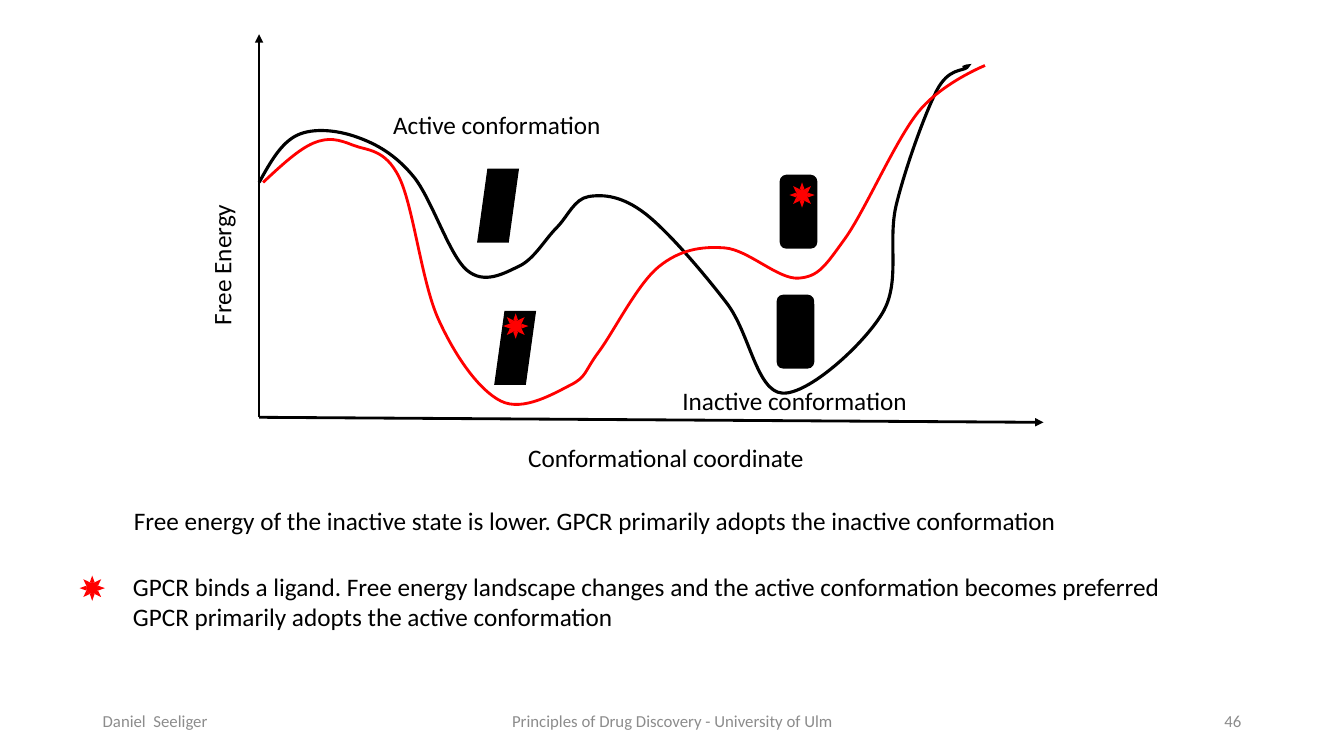
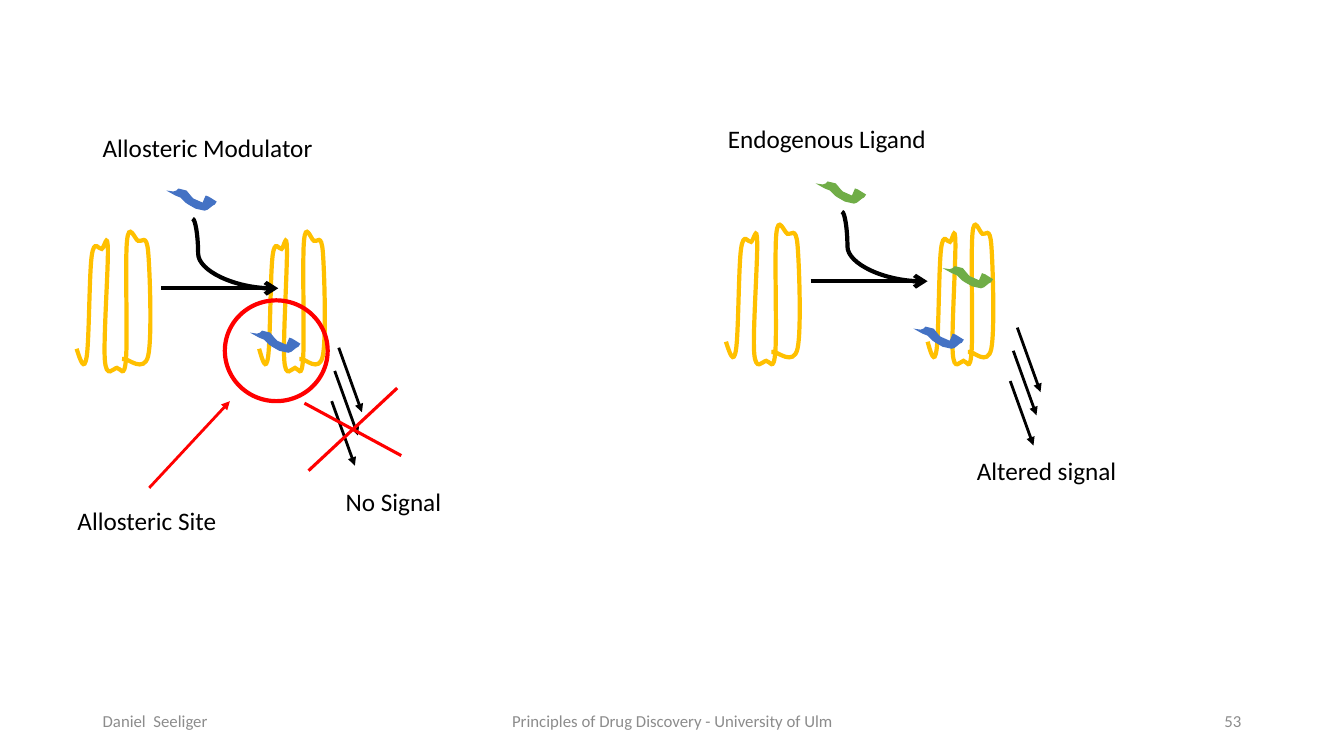
from lxml.etree import SubElement
from pptx import Presentation
from pptx.dml.color import RGBColor
from pptx.enum.shapes import MSO_CONNECTOR, MSO_SHAPE
from pptx.enum.text import MSO_ANCHOR, MSO_AUTO_SIZE, PP_ALIGN
from pptx.oxml.ns import qn
from pptx.util import Inches, Pt

SLIDE_W, SLIDE_H = 13.33, 7.5
BLACK = RGBColor(0x00, 0x00, 0x00)
RED = RGBColor(0xFF, 0x00, 0x00)
GREY = RGBColor(0x8C, 0x8C, 0x8C)
AMBER = RGBColor(0xFF, 0xC0, 0x00)
BLUE = RGBColor(0x44, 0x72, 0xC4)
GREEN = RGBColor(0x70, 0xAD, 0x47)

LABEL_FORMAT = {"name": "Calibri", "size": Pt(18)}
FOOTER_FORMAT = {"name": "Calibri", "size": Pt(12)}
FOOTER_TOP, FOOTER_H = 6.95, 0.4
AUTHOR = "Daniel  Seeliger"
COURSE = "Principles of Drug Discovery - University of Ulm"

# Outline points, in inches from the corner of the part they belong to
UNBOUND_ENERGY = [
    (0, 1.47), (0.38, 1), (0.97, 1.02), (1.53, 1.41), (2.06, 2.34), (2.58, 2.3),
    (2.95, 1.92), (3.27, 1.61), (3.83, 1.78), (4.64, 2.67), (5.19, 3.56),
    (6.18, 2.77), (6.32, 1.69), (6.72, 0.56), (7.02, 0.33), (6.98, 0.33)]
BOUND_ENERGY = [
    (0.04, 1.47), (0.54, 1.08), (0.93, 1.1), (1.39, 1.42), (1.78, 2.83),
    (2.4, 3.64), (3.09, 3.48), (3.37, 3.15), (3.96, 2.31), (4.62, 2.12),
    (5.35, 2.42), (5.81, 2.03), (6.54, 0.77), (7.2, 0.31)]
RECEPTOR = [
    (0, 1.16), (0.1, 1.24), (0.15, 0.24), (0.25, 0.17), (0.31, 0.17),
    (0.28, 1.27), (0.4, 1.35), (0.49, 1.26), (0.5, 0.09), (0.61, 0.09),
    (0.71, 0.2), (0.71, 1.23), (0.47, 1.26), (0.49, 1.26)]
LIGAND = [
    (0, 0), (0.09, 0.05), (0.14, 0.07), (0.19, 0.12), (0.22, 0.14),
    (0.29, 0.18), (0.38, 0.2), (0.41, 0.19), (0.46, 0.15), (0.48, 0.14),
    (0.5, 0.11), (0.42, 0.06), (0.39, 0.05), (0.36, 0.12), (0.27, 0.08),
    (0.25, 0.06), (0.2, 0), (0.12, -0.02), (0.1, 0), (0.07, 0.01)]
CASCADE_STARTS = [(0, 0), (-0.04, 0.23), (-0.07, 0.53)]
BOUND_WIDTH = 0.89


def write(frame, text, text_format, color, align=PP_ALIGN.LEFT):
    frame.text = text
    for paragraph in frame.paragraphs:
        paragraph.alignment = align
        for field, value in text_format.items():
            setattr(paragraph.font, field, value)
        paragraph.font.color.rgb = color


def add_label(slide, text, left, top, width, height=0.4, rotation=0):
    box = slide.shapes.add_textbox(
        Inches(left), Inches(top), Inches(width), Inches(height))
    box.rotation = rotation
    box.text_frame.word_wrap = False
    write(box.text_frame, text, LABEL_FORMAT, BLACK)
    box.text_frame.auto_size = MSO_AUTO_SIZE.SHAPE_TO_FIT_TEXT


def add_footer(slide, number):
    cells = [(AUTHOR, 0.92, 3, PP_ALIGN.LEFT),
             (COURSE, 4.42, 4.5, PP_ALIGN.CENTER),
             (number, 9.41, 3, PP_ALIGN.RIGHT)]
    for text, left, width, align in cells:
        box = slide.shapes.add_textbox(
            Inches(left), Inches(FOOTER_TOP), Inches(width), Inches(FOOTER_H))
        box.text_frame.word_wrap = True
        box.text_frame.vertical_anchor = MSO_ANCHOR.MIDDLE
        write(box.text_frame, text, FOOTER_FORMAT, GREY, align)


def set_line(line, color, weight, mitered=False):
    line.color.rgb = color
    line.width = Pt(weight)
    if mitered:
        SubElement(line._get_or_add_ln(), qn("a:miter"), lim="800000")


def add_line(slide, start, end, color=BLACK, weight=2, head=None,
             kind=MSO_CONNECTOR.STRAIGHT):
    line = slide.shapes.add_connector(kind, *map(Inches, (*start, *end)))
    set_line(line.line, color, weight)
    if head:
        SubElement(line.line._get_or_add_ln(), qn("a:tailEnd"), type=head)
    SubElement(line._element.spPr, qn("a:effectLst"))
    return line


def mix(start, end, share):
    return tuple(a + (b - a) * share for a, b in zip(start, end))


def bezier_segments(points, end_pull):
    """Return (start, control, control, end) for a smooth curve through points."""
    pulls = [tuple((c - a) / 6 for a, c in zip(before, after))
             for before, after in zip(points, points[2:])]
    outgoing = [tuple(map(sum, zip(p, d))) for p, d in zip(points[1:], pulls)]
    incoming = [tuple(a - b for a, b in zip(p, d)) for p, d in zip(points[1:], pulls)]
    outgoing.insert(0, mix(points[0], incoming[0], 0.5))
    incoming.append(mix(outgoing[-1], points[-1], end_pull))
    return list(zip(points, outgoing, incoming, points[1:]))


def bezier_point(segment, t):
    while len(segment) > 1:
        segment = [mix(a, b, t) for a, b in zip(segment, segment[1:])]
    return segment[0]


def add_outline(slide, points, closed=False):
    placed = [(Inches(x), Inches(y)) for x, y in points]
    builder = slide.shapes.build_freeform(*placed[0], scale=1.0)
    builder.add_line_segments(placed[1:], close=closed)
    outline = builder.convert_to_shape()
    outline.shadow.inherit = False
    return outline


def add_curve(slide, points, left, top, color, weight, end_pull=1, x_scale=1):
    anchors = [(left + x * x_scale, top + y) for x, y in points]
    segments = bezier_segments(anchors, end_pull)
    reached = [bezier_point(s, step / 8) for s in segments for step in range(9)]
    (x_min, x_max), (y_min, y_max) = [(min(v), max(v)) for v in zip(*reached)]

    curve = add_outline(slide, anchors)
    curve.left, curve.top = Inches(x_min), Inches(y_min)
    curve.width, curve.height = Inches(x_max - x_min), Inches(y_max - y_min)
    track = curve._element.spPr.find(".//" + qn("a:path"))
    track.set("w", str(curve.width))
    track.set("h", str(curve.height))
    for step in list(track):
        track.remove(step)
    moves = [("a:moveTo", anchors[:1])]
    moves += [("a:cubicBezTo", segment[1:]) for segment in segments]
    for tag, targets in moves:
        move = SubElement(track, qn(tag))
        for x, y in targets:
            SubElement(move, qn("a:pt"), x=str(Inches(x - x_min)),
                       y=str(Inches(y - y_min)))
    curve.fill.background()
    set_line(curve.line, color, weight, mitered=True)


def add_solid(slide, kind, left, top, width, height, color):
    solid = slide.shapes.add_shape(
        kind, Inches(left), Inches(top), Inches(width), Inches(height))
    solid.shadow.inherit = False
    solid.fill.solid()
    solid.fill.fore_color.rgb = color
    set_line(solid.line, color, 1, mitered=True)


def add_star(slide, left, top):
    add_solid(slide, MSO_SHAPE.SUN, left, top, 0.21, 0.21, RED)


def add_energy_plot(slide, left, top, width, height):
    """Draw axes, both energy curves and the conformer symbols."""
    origin = (left, top + height - 0.05)
    add_line(slide, origin, (left, top), head="triangle")
    add_line(slide, origin, (left + width, top + height), head="triangle")
    add_curve(slide, UNBOUND_ENERGY, left, top, BLACK, 2.25)
    add_curve(slide, BOUND_ENERGY, left, top, RED, 2)

    active, inactive = MSO_SHAPE.PARALLELOGRAM, MSO_SHAPE.ROUNDED_RECTANGLE
    conformers = [(active, 2.17, 1.34, 0.4), (active, 2.34, 2.75, 0.4),
                  (inactive, 5.17, 1.4, 0.36), (inactive, 5.14, 2.59, 0.36)]
    for kind, x, y, symbol_width in conformers:
        add_solid(slide, kind, left + x, top + y, symbol_width, 0.72, BLACK)
    for x, y in [(2.44, 2.79), (5.28, 1.49)]:
        add_star(slide, left + x, top + y)

    add_label(slide, "Conformational coordinate", left + 2.57, top + 4, 2.97)
    add_label(slide, "Free Energy", left - 1.08, top + 2.08, 1.41, rotation=270)
    add_label(slide, "Active conformation", left + 1.23, top + 0.7, 2.28)
    add_label(slide, "Inactive conformation", left + 4.1, top + 3.43, 2.46)


def add_energy_notes(slide, left, top):
    add_label(slide, "Free energy of the inactive state is lower. "
              "GPCR primarily adopts the inactive conformation",
              left + 0.42, top, 9.52)
    add_label(slide, "GPCR binds a ligand. Free energy landscape changes and "
              "the active conformation becomes preferred\n"
              "GPCR primarily adopts the active conformation",
              left + 0.41, top + 0.66, 10.45, 0.71)
    add_star(slide, left, top + 0.77)


def add_ligand(slide, left, top, color):
    ligand = add_outline(slide, [(left + x, top + y) for x, y in LIGAND], closed=True)
    ligand.fill.solid()
    ligand.fill.fore_color.rgb = color
    ligand.line.fill.background()


def add_binding(slide, left, top, ligand_color, complex_x, bound, cascade):
    """Draw free receptor, incoming ligand, complex and signal arrows."""
    for x, x_scale in [(0, 1), (complex_x, BOUND_WIDTH)]:
        add_curve(slide, RECEPTOR, left + x, top, AMBER, 3, 0.5, x_scale)
    reaction_y = top + 0.56
    add_line(slide, (left + 0.84, reaction_y), (left + 2, reaction_y),
             weight=3, head="arrow")
    entry = add_line(slide, (left + 1.15, top - 0.13), (left + 1.94, reaction_y),
                     weight=3, kind=MSO_CONNECTOR.CURVE)
    guides = entry._element.spPr.find(".//" + qn("a:avLst"))
    SubElement(guides, qn("a:gd"), name="adj1", fmla="val 7000")
    add_ligand(slide, left + 0.89, top - 0.41, ligand_color)
    for x, y, color in bound:
        add_ligand(slide, left + x, top + y, color)
    for dx, dy in CASCADE_STARTS:
        x, y = left + cascade[0] + dx, top + cascade[1] + dy
        add_line(slide, (x, y), (x + 0.23, y + 0.64), head="triangle")


def add_modulator_panel(slide, left, top):
    add_binding(slide, left, top, BLUE, 1.81, [(1.72, 1, BLUE)], (2.6, 1.15))
    add_label(slide, "Allosteric Modulator", left + 0.16, top - 1.04, 2.3)
    add_label(slide, "No Signal", left + 2.57, top + 2.48, 1.16)
    add_label(slide, "Allosteric Site", left - 0.09, top + 2.66, 1.59)
    site = slide.shapes.add_shape(
        MSO_SHAPE.OVAL, Inches(left + 1.47), Inches(top + 0.68),
        Inches(1.02), Inches(1))
    site.shadow.inherit = False
    site.fill.background()
    set_line(site.line, RED, 3)
    add_line(slide, (left + 0.72, top + 2.54), (left + 1.52, top + 1.68),
             RED, head="triangle")
    for x1, y1, x2, y2 in [(3.18, 1.55, 2.3, 2.37), (3.22, 2.22, 2.26, 1.7)]:
        add_line(slide, (left + x1, top + y1), (left + x2, top + y2), RED, 2.25)


def add_endogenous_panel(slide, left, top):
    add_binding(slide, left, top, GREEN, 2,
                [(2.15, 0.43, GREEN), (1.86, 1.03, BLUE)], (2.89, 1.02))
    add_label(slide, "Endogenous Ligand", left - 0.08, top - 1.06, 2.21)
    add_label(slide, "Altered signal", left + 2.39, top + 2.24, 1.6)


def add_slide(deck, number):
    slide = deck.slides.add_slide(deck.slide_layouts[6])
    add_footer(slide, number)
    return slide


def main():
    deck = Presentation()
    deck.slide_width, deck.slide_height = Inches(SLIDE_W), Inches(SLIDE_H)

    landscape = add_slide(deck, "46")
    add_energy_plot(landscape, 2.57, 0.34, 7.78, 3.85)
    add_energy_notes(landscape, 0.81, 4.96)

    modulation = add_slide(deck, "53")
    add_modulator_panel(modulation, 0.76, 2.3)
    add_endogenous_panel(modulation, 7.2, 2.23)

    deck.save("out.pptx")


if __name__ == "__main__":
    main()
